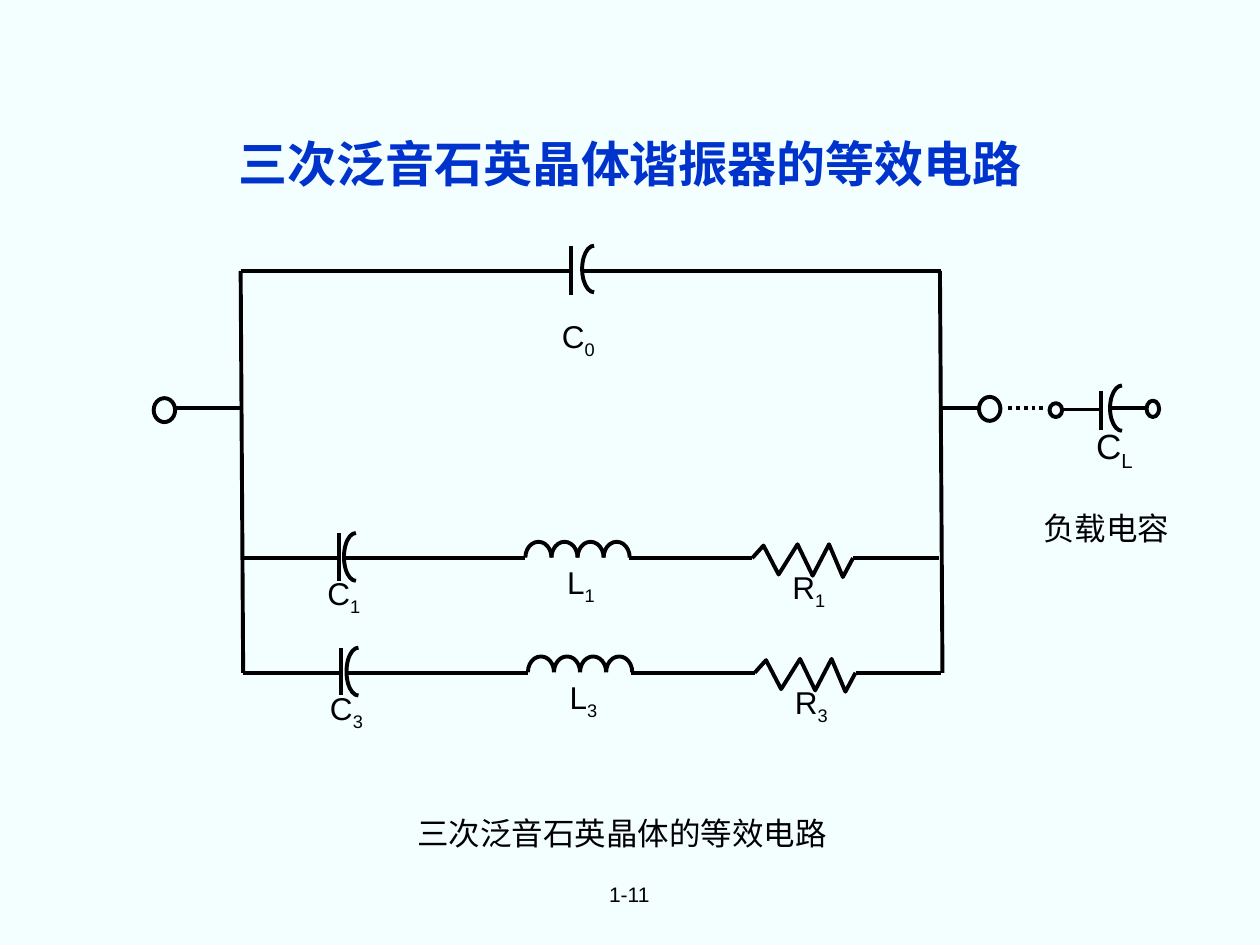
from lxml import etree
from pptx import Presentation
from pptx.dml.color import RGBColor
from pptx.enum.dml import MSO_LINE_DASH_STYLE as DASH
from pptx.enum.shapes import MSO_CONNECTOR, MSO_SHAPE
from pptx.enum.text import MSO_ANCHOR, MSO_AUTO_SIZE, PP_ALIGN
from pptx.oxml.ns import qn
from pptx.util import Inches, Pt

BLACK, BLUE, PALE = "000000", "0033CC", "F3FEFF"
LATIN, CJK = "Arial", "Noto Sans CJK SC"


def outline(s):
    """Give a circuit part its black stroke, without fill or shadow."""
    s.line.color.rgb = RGBColor.from_string(BLACK)
    s.line.width = Pt(2.25)
    if hasattr(s, "fill"):
        s.fill.background()
        s.shadow.inherit = False
    else:
        etree.SubElement(s._element.spPr, qn("a:effectLst"))


def write(s, runs, size, font=LATIN, color=BLACK, bold=False, wrap=True):
    """Fill a shape with centred text; a second run becomes a subscript."""
    tf = s.text_frame
    tf.word_wrap = wrap
    tf.vertical_anchor = MSO_ANCHOR.MIDDLE
    p = tf.paragraphs[0]
    p.alignment = PP_ALIGN.CENTER
    for i, text in enumerate(runs):
        r = p.add_run()
        r.text = text
        r.font.size = Pt(size)
        r.font.bold = bold
        r.font.name = font
        r.font.color.rgb = RGBColor.from_string(color)
        rPr = r._r.get_or_add_rPr()
        etree.SubElement(rPr, qn("a:ea")).set("typeface", font)
        if i:
            rPr.set("baseline", "-25000")


prs = Presentation()
prs.slide_width, prs.slide_height = Inches(10), Inches(7.5)
slide = prs.slides.add_slide(prs.slide_layouts[5])
slide.background.fill.solid()
slide.background.fill.fore_color.rgb = RGBColor.from_string(PALE)
shapes = slide.shapes

# Title
title = shapes.title
title.left, title.top = Inches(0.75), Inches(0.67)
title.width, title.height = Inches(8.5), Inches(1.25)
write(title, ["三次泛音石英晶体谐振器的等效电路"], 28, CJK, BLUE, True)
title.text_frame.auto_size = MSO_AUTO_SIZE.NONE

# Frame, terminals and load: wires, then capacitor plates
wires = [
    (1.39, 3.24, 1.91, 3.24), (1.91, 2.15, 1.93, 5.34),
    (1.91, 2.15, 4.53, 2.15), (4.62, 2.15, 7.47, 2.15),
    (7.46, 2.15, 7.48, 5.34), (7.46, 3.24, 7.77, 3.24),
    (8.43, 3.25, 8.74, 3.25), (8.81, 3.24, 9.1, 3.24),
    (4.53, 1.95, 4.53, 2.34), (8.74, 3.1, 8.74, 3.41),
]
circles = [(1.22, 3.16, 0.17, 0.19), (7.77, 3.15, 0.17, 0.19),
           (8.33, 3.2, 0.1, 0.11), (9.1, 3.18, 0.1, 0.13)]
# Arcs: left, top, width, height, start and end angle in degrees
LEFT_HALF, TOP_HALF = (90, 270), (180, 0)
arcs = [(4.62, 1.95, 0.19, 0.37, *LEFT_HALF),
        (8.81, 3.06, 0.19, 0.36, *LEFT_HALF)]
labels = [("C", "0", 4.36, 2.47, 0.46, 0.44, 18),
          ("C", "L", 8.6, 3.32, 0.49, 0.48, 20)]
zigzag = [(5.97, 0), (6.06, -0.1), (6.18, 0.13), (6.33, -0.11),
          (6.45, 0.14), (6.58, -0.11), (6.69, 0.15), (6.77, 0)]

# Series branches: fundamental and third overtone
for number, dx, y in [("1", 0, 4.43), ("3", 0.02, 5.34)]:
    wires += [(x1 + dx, y, x2 + dx, y) for x1, x2 in
              [(1.91, 2.69), (2.73, 4.17), (4.99, 5.97), (6.77, 7.45)]]
    wires.append((2.69 + dx, y - 0.2, 2.69 + dx, y + 0.18))
    arcs.append((2.73 + dx, y - 0.2, 0.19, 0.38, *LEFT_HALF))
    arcs += [(4.17 + dx + 0.207 * i, y - 0.13, 0.207, 0.25, *TOP_HALF)
             for i in range(4)]
    points = [(Inches(x + dx), Inches(y + dy)) for x, dy in zigzag]
    fb = shapes.build_freeform(*points[0])
    fb.add_line_segments(points[1:], close=False)
    outline(fb.convert_to_shape())
    labels += [("C", number, 2.5 + dx, y + 0.08, 0.46, 0.44, 18),
               ("L", number, 4.4 + dx, y - 0.01, 0.42, 0.44, 18),
               ("R", number, 6.19 + dx, y + 0.03, 0.46, 0.44, 18)]

for wire in wires:
    outline(shapes.add_connector(MSO_CONNECTOR.STRAIGHT, *map(Inches, wire)))

for box in circles:
    outline(shapes.add_shape(MSO_SHAPE.OVAL, *map(Inches, box)))

for *box, start, end in arcs:
    s = shapes.add_shape(MSO_SHAPE.ARC, *map(Inches, box))
    # Angles are stored in 1/60000 degree, adjustments in 1/100000
    s.adjustments[0], s.adjustments[1] = start * 0.6, end * 0.6
    outline(s)

# Dotted link to the load capacitor
link = shapes.add_connector(MSO_CONNECTOR.STRAIGHT, Inches(8), Inches(3.24),
                            Inches(8.28), Inches(3.24))
outline(link)
link.line.dash_style = DASH.ROUND_DOT

# Component labels
for name, sub, *box, size in labels:
    write(shapes.add_textbox(*map(Inches, box)), [name, sub], size, wrap=False)

# Captions and page number
for text, box, size, font in [
    ("三次泛音石英晶体的等效电路", (3.21, 6.41, 3.45, 0.4), 18, CJK),
    ("负载电容", (8.18, 3.99, 1.2, 0.4), 18, CJK),
    ("1-11", (4.61, 6.94, 0.77, 0.31), 12, LATIN),
]:
    write(shapes.add_textbox(*map(Inches, box)), [text], size, font,
          wrap=font == LATIN)

prs.save("out.pptx")
